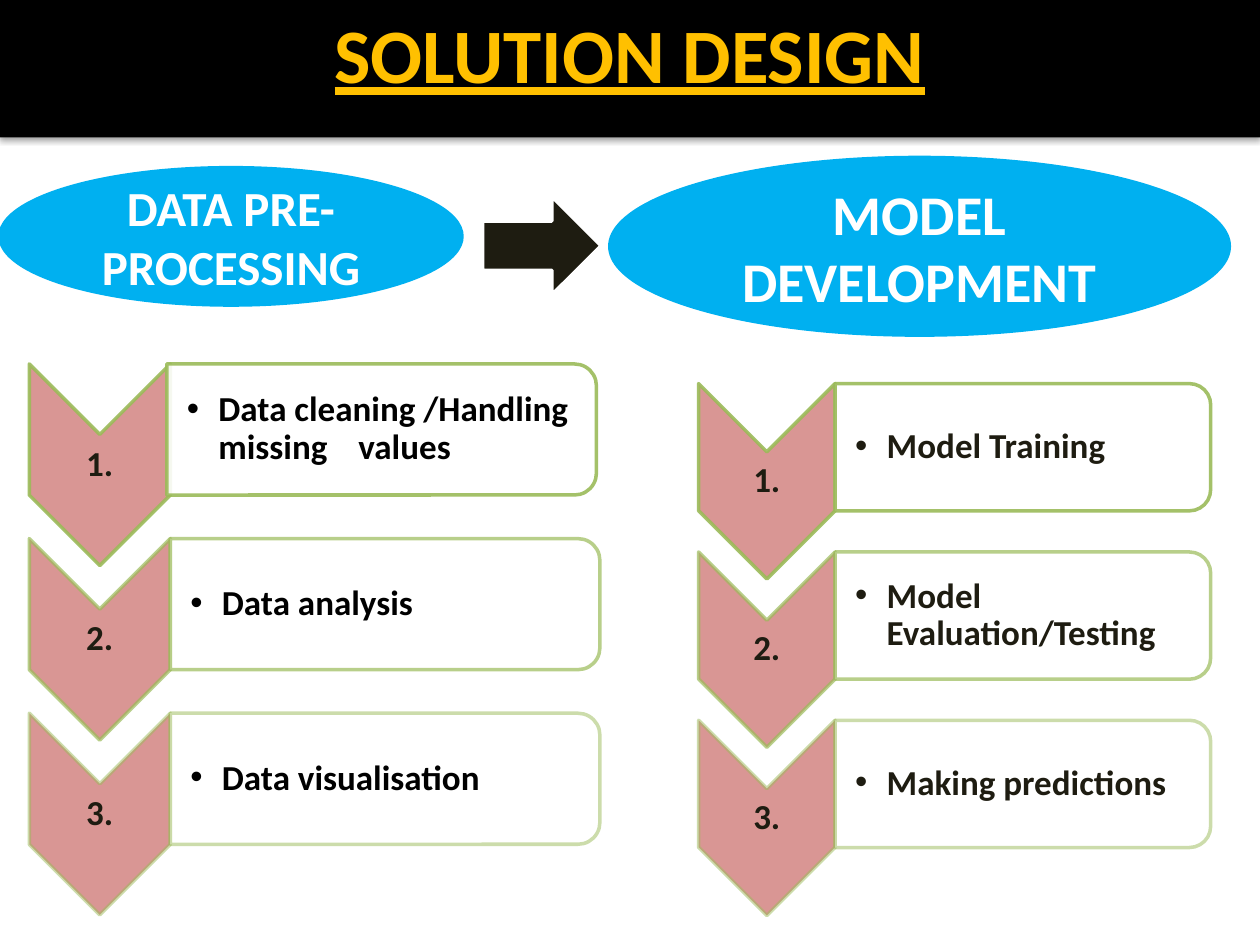
import pptx
import pptx.util
import pptx.dml.color
import pptx.enum.shapes
import pptx.enum.text
import pptx.oxml
import pptx.oxml.ns
from dataclasses import dataclass

Pt = pptx.util.Pt
SHAPES = pptx.enum.shapes.MSO_SHAPE
ALIGN = pptx.enum.text.PP_ALIGN
ANCHOR = pptx.enum.text.MSO_ANCHOR
qn = pptx.oxml.ns.qn


@dataclass(frozen=True)
class Theme:
    font: str = "Calibri"
    black: str = "000000"
    white: str = "FFFFFF"
    gold: str = "FFC000"
    blue: str = "00B0F0"
    dark: str = "1E1C11"
    rose: str = "D99694"
    green: str = "9BBB59"
    title_size: int = 44
    step_size: int = 20
    line_width: int = 2


THEME = Theme()
TITLE = "SOLUTION DESIGN"
# (text, type size, (left, top, width, height))
STAGES = [
    ("DATA PRE-PROCESSING", 28, (0, 95.8, 264, 78.5)),
    ("MODEL DEVELOPMENT", 32, (348.5, 90, 354, 101.5)),
]
ARROW_BOX = (275.8, 112.3, 67.7, 56.2)
STEP_LISTS = [
    dict(steps=["Model Training", "Model Evaluation/Testing", "Making predictions"],
         color=THEME.dark, left=399.2, top=219.2, pitch=96.2,
         chevron=(78, 111.6), panel=(214.6, 72.7), first_shift=0),
    dict(steps=["Data cleaning /Handling missing\tvalues", "Data analysis", "Data visualisation"],
         color=THEME.black, left=16.7, top=208, pitch=99.8,
         chevron=(80.6, 115.2), panel=(245.5, 74.9), first_shift=-2),
]
LINE_OPACITY = [90, 70, 50]
PANEL_OPACITY = 90
BULLET_INDENT = 18
TAB_STOP = 98
TEXT_INSET = 11.5


def rgb(color):
    return pptx.dml.color.RGBColor.from_string(color)


def xml(markup):
    return pptx.oxml.parse_xml(markup.replace(" ", f" {pptx.oxml.ns.nsdecls('a')} ", 1))


def set_opacity(color_parent, percent):
    color = next(color_parent.iter(qn("a:srgbClr")))
    color.append(xml(f'<a:alpha val="{percent * 1000}"/>'))


def add_preset(slide, preset, box, fill, line=None, rotation=0):
    """Add a shape that covers box once it has been turned by rotation."""
    left, top, width, height = box
    if rotation % 180:
        left, top = left + (width - height) / 2, top + (height - width) / 2
        width, height = height, width
    shape = slide.shapes.add_shape(preset, Pt(left), Pt(top), Pt(width), Pt(height))
    shape.rotation = rotation
    shape.shadow.inherit = False
    shape.fill.solid()
    shape.fill.fore_color.rgb = rgb(fill)
    if line:
        shape.line.color.rgb = rgb(line)
        shape.line.width = Pt(THEME.line_width)
    else:
        shape.line.fill.background()
    return shape


def write(shape, text, size, color, align=ALIGN.CENTER, anchor=ANCHOR.MIDDLE):
    frame = shape.text_frame
    frame.word_wrap = True
    frame.vertical_anchor = anchor
    paragraph = frame.paragraphs[0]
    paragraph.alignment = align
    paragraph.add_run().text = text
    font = paragraph.font
    font.name, font.size, font.bold = THEME.font, Pt(size), True
    font.color.rgb = rgb(color)
    return paragraph


def add_step_text(slide, box, text, color, align, left_inset):
    step = slide.shapes.add_textbox(*map(Pt, box))
    frame = step.text_frame
    frame.margin_left = Pt(left_inset)
    frame.margin_top = frame.margin_right = frame.margin_bottom = Pt(0.7)
    paragraph = write(step, text, THEME.step_size, color, align)
    paragraph.line_spacing = 0.9
    return paragraph


def add_bullet(paragraph):
    properties = paragraph._p.get_or_add_pPr()
    properties.set("marL", str(Pt(BULLET_INDENT)))
    properties.set("indent", str(-Pt(BULLET_INDENT)))
    tabs = xml(f'<a:tabLst ><a:tab pos="{Pt(TAB_STOP)}" algn="l"/></a:tabLst>')
    defaults = properties.find(qn("a:defRPr"))
    for element in (xml('<a:buFont typeface="Arial"/>'), xml('<a:buChar char="•"/>'), tabs):
        defaults.addprevious(element)


def add_header(slide):
    header = add_preset(slide, SHAPES.RECTANGLE, (0, 0, 720, 78.5), THEME.black)
    header.element.spPr.find(qn("a:effectLst")).append(xml(
        f'<a:outerShdw blurRad="{Pt(3.1)}" dist="{Pt(1.8)}" dir="5400000" rotWithShape="0">'
        f'<a:srgbClr val="{THEME.black}"><a:alpha val="35000"/></a:srgbClr></a:outerShdw>'))
    title = write(header, TITLE, THEME.title_size, THEME.gold, anchor=ANCHOR.TOP)
    title.font.underline = True


def add_step_list(slide, steps, color, left, top, pitch, chevron, panel, first_shift):
    chevron_width, chevron_height = chevron
    panel_width, panel_height = panel
    for index, (step, opacity) in enumerate(zip(steps, LINE_OPACITY)):
        y = top + index * pitch
        panel_left = left + chevron_width + (0 if index else first_shift)

        marker = add_preset(slide, SHAPES.CHEVRON, (left, y, *chevron),
                            THEME.rose, THEME.green, rotation=90)
        number_box = (left, y + chevron_width / 2, chevron_width, chevron_height - chevron_width)
        add_step_text(slide, number_box, f"{index + 1}.", THEME.dark, ALIGN.CENTER, 0.7)

        card = add_preset(slide, SHAPES.ROUND_2_SAME_RECTANGLE, (panel_left, y, *panel),
                          THEME.white, THEME.green, rotation=90)
        set_opacity(card.element.spPr.find(qn("a:solidFill")), PANEL_OPACITY)
        for outlined in (marker, card):
            set_opacity(outlined.element.spPr.find(qn("a:ln")), opacity)
        text_box = (panel_left, y + 3.6, panel_width - 3.6, panel_height - 7.2)
        add_bullet(add_step_text(slide, text_box, step, color, ALIGN.LEFT, TEXT_INSET))


def main():
    deck = pptx.Presentation()
    deck.slide_width, deck.slide_height = Pt(720), Pt(540)
    slide = deck.slides.add_slide(deck.slide_layouts[6])
    add_header(slide)
    add_preset(slide, SHAPES.DOWN_ARROW, ARROW_BOX, THEME.dark, THEME.white, rotation=270)
    for text, size, box in STAGES:
        stage = add_preset(slide, SHAPES.OVAL, box, THEME.blue, THEME.blue)
        write(stage, text, size, THEME.white)
    for step_list in STEP_LISTS:
        add_step_list(slide, **step_list)
    deck.save("out.pptx")


if __name__ == "__main__":
    main()
